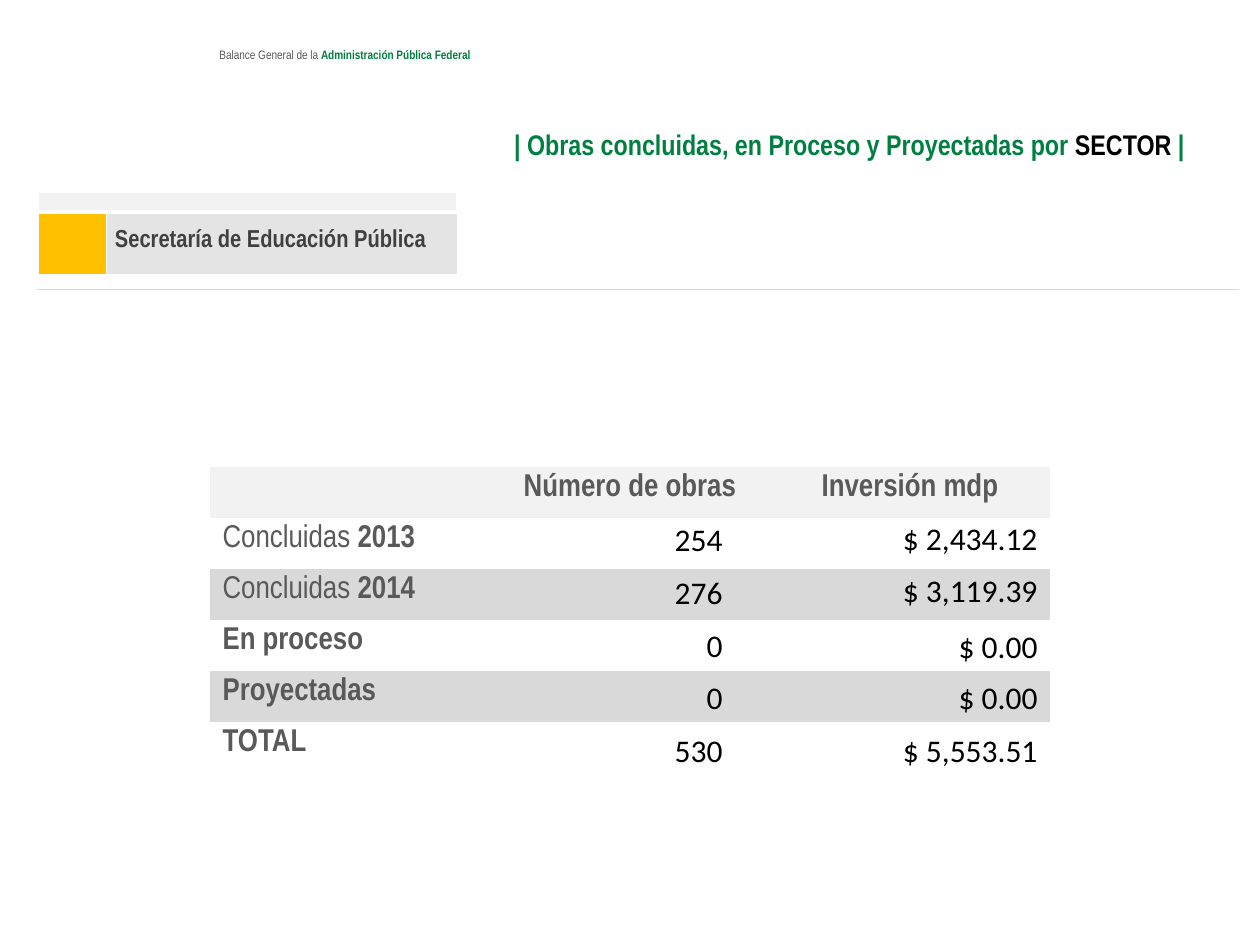
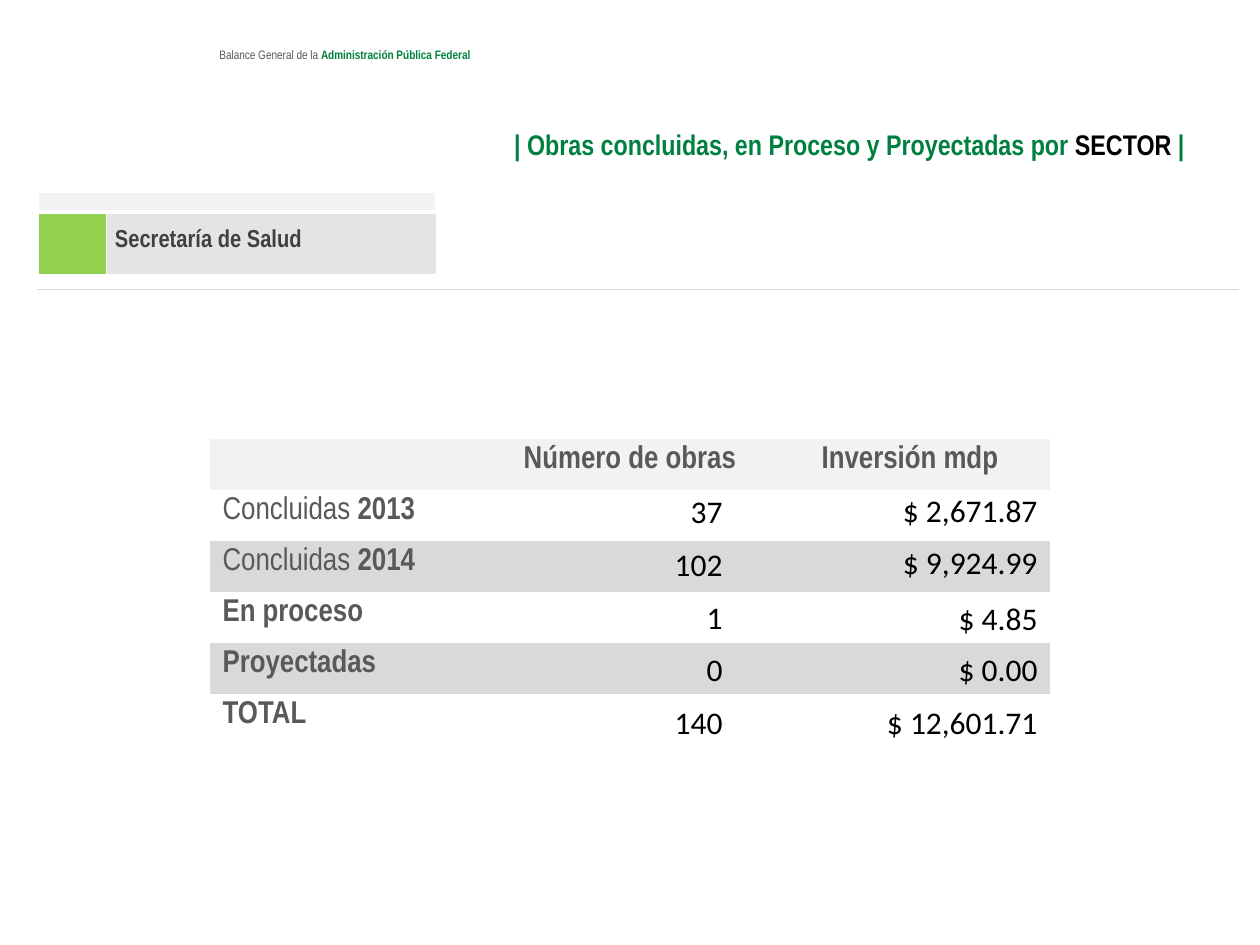
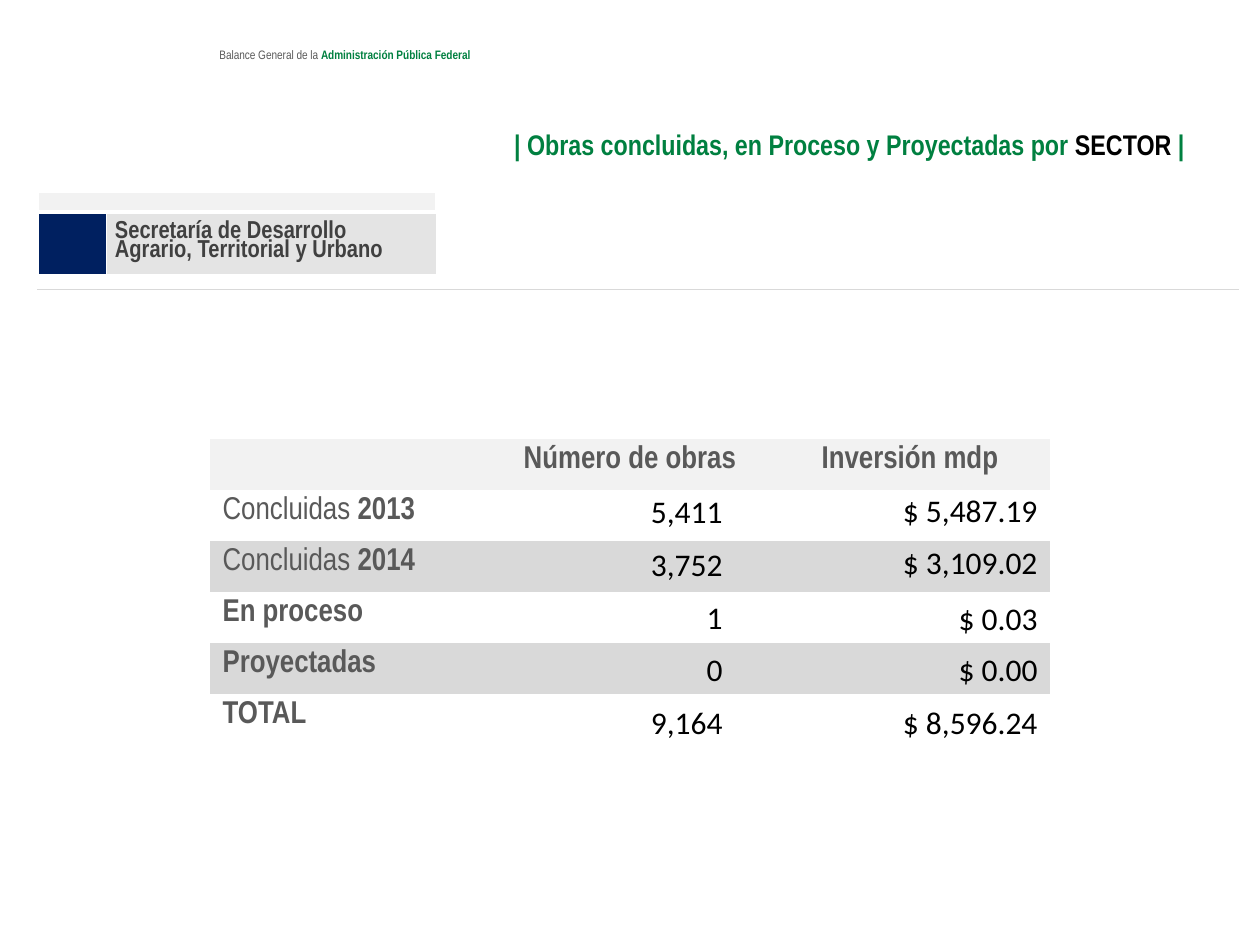
from itertools import product

from lxml.etree import SubElement
from pptx import Presentation
from pptx.dml.color import RGBColor
from pptx.enum.text import MSO_ANCHOR, MSO_AUTO_SIZE, PP_ALIGN
from pptx.oxml.ns import qn
from pptx.util import Emu, Pt

SCALE = 914400 / 126
NARROW = "Arial Narrow"
NO_GRID_STYLE = "{2D5ABB26-0587-4C30-8999-92F81FD0307C}"

WHITE = RGBColor(0xFF, 0xFF, 0xFF)
BLACK = RGBColor(0x00, 0x00, 0x00)
GREEN = RGBColor(0x00, 0x80, 0x40)
TEXT_GRAY = RGBColor(0x59, 0x59, 0x59)
DARK_GRAY = RGBColor(0x40, 0x40, 0x40)
PALE_GRAY = RGBColor(0xF2, 0xF2, 0xF2)
BANNER_GRAY = RGBColor(0xE4, 0xE4, 0xE4)
BAND_GRAY = RGBColor(0xD9, 0xD9, 0xD9)
YELLOW = RGBColor(0xFF, 0xC0, 0x00)
LIME = RGBColor(0x92, 0xD0, 0x50)
NAVY = RGBColor(0x00, 0x20, 0x60)

COLUMN_TITLES = ["Número de obras", "Inversión mdp"]
ROW_LABELS = [
    [("Concluidas ", TEXT_GRAY, False), ("2013", TEXT_GRAY, True)],
    [("Concluidas ", TEXT_GRAY, False), ("2014", TEXT_GRAY, True)],
    [("En proceso", TEXT_GRAY, True)],
    [("Proyectadas", TEXT_GRAY, True)],
    [("TOTAL", TEXT_GRAY, True)],
]
WORKS_OFFSETS = [47, 100, 153, 205, 258]
INVESTMENT_OFFSETS = [46, 98, 154, 205, 258]

SECTORS = [
    dict(name="Secretaría de Educación Pública", color=YELLOW, name_width=351,
         frame_height=630, table_top=467,
         works=["254", "276", "0", "0", "530"],
         investment=["$ 2,434.12", "$ 3,119.39", "$ 0.00", "$ 0.00", "$ 5,553.51"]),
    dict(name="Secretaría de Salud", color=LIME, name_width=330,
         frame_height=630, table_top=439,
         works=["37", "102", "1", "0", "140"],
         investment=["$ 2,671.87", "$ 9,924.99", "$ 4.85", "$ 0.00", "$ 12,601.71"]),
    dict(name="Secretaría de Desarrollo Agrario, Territorial y Urbano", color=NAVY,
         name_width=330, frame_height=437, table_top=439,
         works=["5,411", "3,752", "1", "0", "9,164"],
         investment=["$ 5,487.19", "$ 3,109.02", "$ 0.03", "$ 0.00", "$ 8,596.24"]),
]


def px(length):
    return Emu(round(length * SCALE))


class SectorDeck:
    def __init__(self):
        self.deck = Presentation()
        self.deck.slide_width = px(1260)
        self.deck.slide_height = px(945)
        self.layout = self.deck.slide_layouts[5]
        self.page = None

    def add_page(self):
        self.page = self.deck.slides.add_slide(self.layout)

    def set_text(self, frame, spans, size, font=NARROW, align=PP_ALIGN.LEFT, spacing=None):
        para = frame.paragraphs[0]
        para.alignment = align
        para.line_spacing = spacing
        para.font.name = font
        para.font.size = Pt(size)
        colors = {color for _, color, _ in spans}
        weights = {bold for _, _, bold in spans}
        if len(colors) == 1:
            para.font.color.rgb = spans[0][1]
        if len(weights) == 1:
            para.font.bold = spans[0][2]
        for text, color, bold in spans:
            span = para.add_run()
            span.text = text
            if len(colors) > 1:
                span.font.color.rgb = color
            if len(weights) > 1:
                span.font.bold = bold

    def text_box(self, left, top, width, height, spans, size, **style):
        box = self.page.shapes.add_textbox(px(left), px(top), px(width), px(height))
        box.text_frame.word_wrap = True
        self.set_text(box.text_frame, spans, size, **style)
        return box

    def running_head(self):
        box = self.text_box(207, 44, 566, 25, [
            ("Balance General de la ", TEXT_GRAY, False),
            ("Administración Pública Federal", GREEN, True),
        ], 7, spacing=0.8)
        self.layout.slide_master.shapes._spTree.append(box._element)

    def title(self):
        title = self.page.shapes.title
        title.left, title.top, title.width, title.height = map(px, (63, 115, 1134, 54))
        frame = title.text_frame
        frame.auto_size = MSO_AUTO_SIZE.NONE
        frame.vertical_anchor = MSO_ANCHOR.MIDDLE
        self.set_text(frame, [
            ("| Obras concluidas, en Proceso y Proyectadas por ", GREEN, True),
            ("SECTOR ", BLACK, True),
            ("|", GREEN, True),
        ], 16.2, align=PP_ALIGN.RIGHT, spacing=1.15)

    def table(self, left, top, widths, heights):
        frame = self.page.shapes.add_table(
            len(heights), len(widths), px(left), px(top), px(sum(widths)), px(sum(heights)))
        table = frame.table
        table.first_row = table.horz_banding = False
        table._tbl.tblPr.find(qn("a:tableStyleId")).text = NO_GRID_STYLE
        for column, width in zip(table.columns, widths):
            column.width = px(width)
        for row, height in zip(table.rows, heights):
            row.height = px(height)
        return table

    def blank(self, cell):
        cell.margin_top = cell.margin_bottom = 0
        cell.text_frame.paragraphs[0]._p.get_or_add_endParaRPr().set("sz", "100")

    def fill(self, cell, color):
        cell.fill.solid()
        cell.fill.fore_color.rgb = color

    def borders(self, cell, **sides):
        properties = cell._tc.get_or_add_tcPr()
        for index, side in enumerate(["L", "R", "T", "B"]):
            width, color = sides.get(side, (1, WHITE))
            line = SubElement(properties, qn(f"a:ln{side}"), w=str(Pt(width)))
            properties.insert(index, line)
            paint = SubElement(line, qn("a:solidFill"))
            SubElement(paint, qn("a:srgbClr"), val=str(color))

    def sector_banner(self, name, color, name_width, frame_height):
        widths = [68, name_width, 1132 - name_width]
        table = self.table(38, 192, widths, [20, 63, 14, frame_height])
        gap, thin, rule = (3, WHITE), (0.5, WHITE), (0.25, BAND_GRAY)
        row_sides = [dict(B=gap), dict(T=gap, L=thin, R=thin), dict(B=rule), dict(T=rule)]
        for row, column in product(range(4), range(3)):
            cell = table.cell(row, column)
            self.borders(cell, **row_sides[row])
            if (row, column) != (1, 1):
                self.blank(cell)
        for row, last_column in [(0, 1), (2, 1), (3, 2)]:
            table.cell(row, 0).merge(table.cell(row, last_column))
        self.fill(table.cell(0, 0), PALE_GRAY)
        self.fill(table.cell(1, 0), color)
        name_cell = table.cell(1, 1)
        self.fill(name_cell, BANNER_GRAY)
        name_cell.vertical_anchor = MSO_ANCHOR.MIDDLE
        name_cell.margin_left = name_cell.margin_right = px(9)
        name_cell.margin_top = name_cell.margin_bottom = 0
        self.set_text(name_cell.text_frame, [(name, DARK_GRAY, True)], 14, spacing=Pt(11))

    def works_table(self, top):
        table = self.table(210, top, [280] * 3, [51] * 6)
        row_fills = [PALE_GRAY, None, BAND_GRAY, None, BAND_GRAY, None]
        for row, column in product(range(6), range(3)):
            cell = table.cell(row, column)
            if row_fills[row] is None:
                cell.fill.background()
            else:
                self.fill(cell, row_fills[row])
            if row == 0 and column > 0:
                spans = [(COLUMN_TITLES[column - 1], TEXT_GRAY, True)]
                self.set_text(cell.text_frame, spans, 18, align=PP_ALIGN.CENTER)
            elif row > 0 and column == 0:
                self.set_text(cell.text_frame, ROW_LABELS[row - 1], 18)
            else:
                self.blank(cell)

    def value_column(self, left, width, top, offsets, values):
        for offset, value in zip(offsets, values):
            self.text_box(left, top + offset, width, 51, [(value, BLACK, False)], 18,
                          font="Calibri", align=PP_ALIGN.RIGHT)

    def sector_page(self, name, color, name_width, frame_height, table_top, works, investment):
        self.add_page()
        self.title()
        self.sector_banner(name, color, name_width, frame_height)
        self.works_table(table_top)
        self.value_column(524, 211, table_top, WORKS_OFFSETS, works)
        self.value_column(828, 222, table_top, INVESTMENT_OFFSETS, investment)


def main():
    builder = SectorDeck()
    for sector in SECTORS:
        builder.sector_page(**sector)
    builder.running_head()
    builder.deck.save("out.pptx")


if __name__ == "__main__":
    main()
